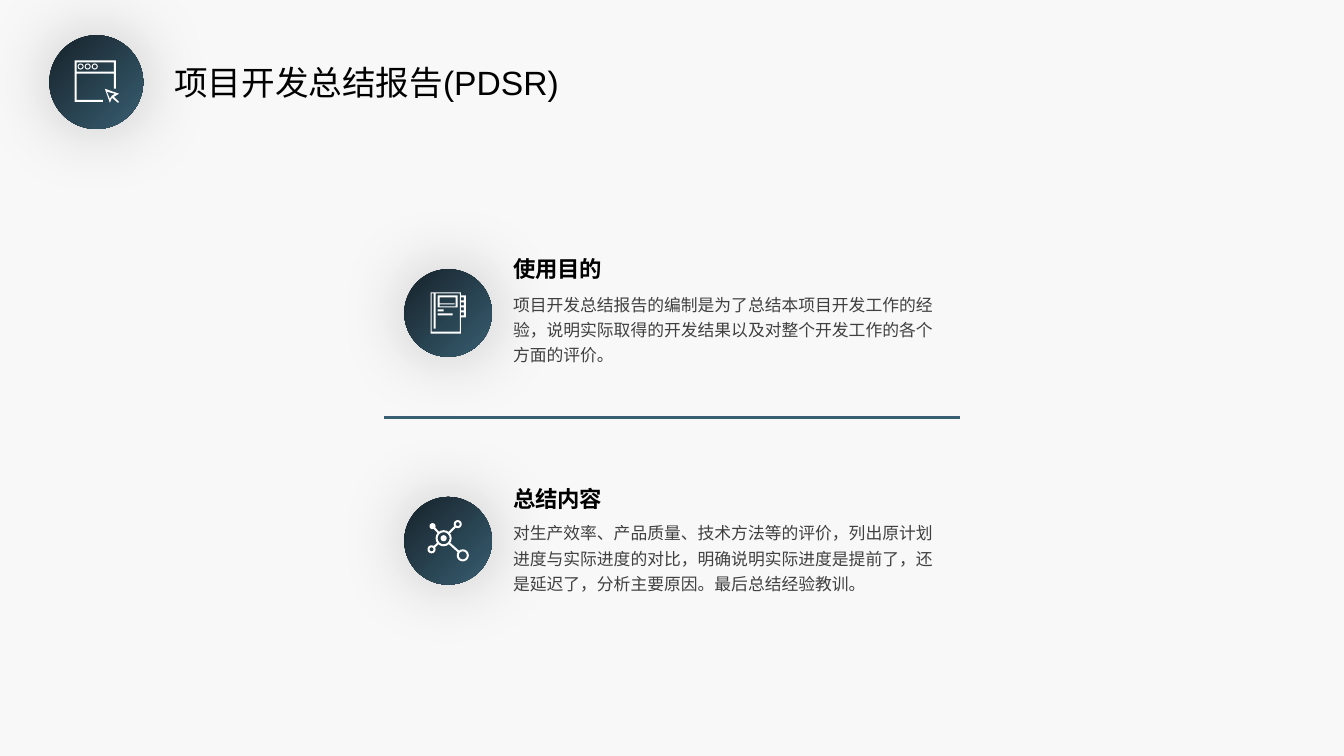
from math import cos, hypot, pi, sin

from lxml import etree
from pptx import Presentation
from pptx.dml.color import RGBColor
from pptx.enum.shapes import MSO_CONNECTOR, MSO_SHAPE
from pptx.enum.text import MSO_AUTO_SIZE
from pptx.oxml.ns import qn
from pptx.util import Inches, Pt

STRAIGHT = MSO_CONNECTOR.STRAIGHT
OVAL = MSO_SHAPE.OVAL
GROW = MSO_AUTO_SIZE.SHAPE_TO_FIT_TEXT
BACKGROUND = RGBColor(0xF8, 0xF8, 0xF8)
NAVY = RGBColor(0x17, 0x23, 0x2B)
STEEL = RGBColor(0x39, 0x5F, 0x72)
BLACK = RGBColor(0, 0, 0)
GRAY = RGBColor(0x40, 0x40, 0x40)
WHITE = RGBColor(255, 255, 255)
CJK_FONT = "Noto Sans CJK SC"


def rectangle(left, top, right, bottom):
    """Return the corners of a rectangle."""
    return [(left, top), (right, top), (right, bottom), (left, bottom)]


def disc(x, y, radius, corners=16):
    """Return the corners of a round polygon."""
    angles = [2 * pi * step / corners for step in range(corners)]
    return [(x + radius * cos(angle), y + radius * sin(angle))
            for angle in angles]


def spoke(hub, node, half_width=0.01):
    """Return the corners of a bar between the rims of two discs."""
    (x1, y1, radius1), (x2, y2, radius2) = hub, node
    length = hypot(x2 - x1, y2 - y1)
    across, down = (x2 - x1) / length, (y2 - y1) / length
    ends = ((radius1, 1), (length - radius2, 1),
            (length - radius2, -1), (radius1, -1))
    return [(x1 + along * across - side * half_width * down,
             y1 + along * down + side * half_width * across)
            for along, side in ends]


def browser_contours():
    """Return the outlines of a browser window with a cursor."""
    window = [(0.74, 0.6), (1.15, 0.6), (1.15, 0.88), (1.13, 0.88),
              (1.13, 0.73), (0.76, 0.73), (0.76, 0.99), (1.02, 0.99),
              (1.02, 1.01), (0.74, 1.01)]
    cursor = [(1.04, 0.88), (1.18, 0.93), (1.13, 0.96), (1.18, 1.01),
              (1.17, 1.02), (1.11, 0.97), (1.09, 1.02)]
    cursor_hole = [(1.06, 0.91), (1.09, 0.98), (1.11, 0.95), (1.14, 0.93)]
    buttons = [disc(x, 0.66, radius)
               for x in (0.8, 0.87, 0.94) for radius in (0.03, 0.02)]
    return [window, rectangle(0.76, 0.62, 1.13, 0.71),
            cursor, cursor_hole] + buttons


def notebook_contours():
    """Return the outlines of a notebook with index tabs."""
    cover = [(4.27, 2.9), (4.57, 2.9), (4.57, 2.93), (4.62, 2.93),
             (4.62, 3.15), (4.57, 3.15), (4.57, 3.31), (4.27, 3.31)]
    sheet = [(4.28, 2.91), (4.28, 3.29), (4.56, 3.29), (4.56, 2.91),
             (4.32, 2.91), (4.32, 3.26), (4.3, 3.26), (4.3, 2.91)]
    label_hole = [(4.36, 2.95), (4.36, 3.01), (4.51, 3.01), (4.51, 3.02),
                  (4.36, 3.02), (4.36, 3.04), (4.52, 3.04), (4.52, 2.95)]
    tabs = [rectangle(4.57, 2.95 + 0.05 * row, 4.6, 2.98 + 0.05 * row)
            for row in range(4)]
    return [cover, sheet, rectangle(4.34, 2.93, 4.54, 3.05), label_hole,
            rectangle(4.34, 3.07, 4.4, 3.09),
            rectangle(4.34, 3.11, 4.49, 3.13)] + tabs


def network_contours():
    """Return the outlines of a hub with four linked nodes."""
    hub = (4.4, 5.34, 0.08)
    rings = ((4.59, 5.51, 0.06), (4.28, 5.45, 0.04), (4.54, 5.2, 0.04))
    end_dot = (4.29, 5.22, 0.03)
    contours = [disc(4.4, 5.34, 0.06), disc(4.4, 5.34, 0.03)]
    contours += [disc(x, y, radius - 0.02) for x, y, radius in rings]
    contours += [disc(*node) for node in (hub, *rings, end_dot)]
    return contours + [spoke(hub, node) for node in (*rings, end_dot)]


class ReportPage:
    """Draws badges, icons, text and rules on one slide in a shared style."""

    def __init__(self, page):
        self.page_shapes = self.shapes = page.shapes
        page.background.fill.solid()
        page.background.fill.fore_color.rgb = BACKGROUND

    def start_group(self):
        self.shapes = self.page_shapes.add_group_shape().shapes

    def end_group(self):
        self.shapes = self.page_shapes

    def text(self, left, top, width, height, words, size, color,
             latin=CJK_FONT, bold=False, spacing=1.0):
        box = self.shapes.add_textbox(
            Inches(left), Inches(top), Inches(width), Inches(height))
        frame = box.text_frame
        frame.word_wrap = True
        frame.auto_size = GROW
        para = frame.paragraphs[0]
        para.line_spacing = spacing
        span = para.add_run()
        span.text = words
        span.font.size = Pt(size)
        span.font.bold = bold
        span.font.name = latin
        span.font.color.rgb = color
        east_asian = etree.SubElement(span.font._element, qn("a:ea"))
        east_asian.set("typeface", CJK_FONT)

    def soft_shadow(self, shape):
        shape.shadow.inherit = False
        effects = shape._element.spPr.find(qn("a:effectLst"))
        shadow = etree.SubElement(
            effects, qn("a:outerShdw"), blurRad=str(Pt(53)), dist="0",
            dir="0", algn="ctr", rotWithShape="0")
        color = etree.SubElement(shadow, qn("a:srgbClr"), val=str(BLACK))
        etree.SubElement(color, qn("a:alpha"), val="20000")

    def badge(self, left, top, size):
        shape = self.shapes.add_shape(
            OVAL, Inches(left), Inches(top), Inches(size), Inches(size))
        shape.line.fill.background()
        shape.fill.gradient()
        shape.fill.gradient_angle = 315
        for stop, color, position in zip(
                shape.fill.gradient_stops, (NAVY, STEEL), (0, 1)):
            stop.color.rgb = color
            stop.position = position
        self.soft_shadow(shape)

    def icon(self, contours):
        builder = self.shapes.build_freeform(scale=1.0)
        for contour in contours:
            corners = [(Inches(x), Inches(y)) for x, y in contour]
            builder.move_to(*corners[0])
            builder.add_line_segments(corners[1:], close=True)
        builder._start_x, builder._start_y = (
            Inches(length) for length in contours[0][0])
        shape = builder.convert_to_shape()
        shape.fill.solid()
        shape.fill.fore_color.rgb = WHITE
        shape.line.fill.background()
        self.soft_shadow(shape)

    def rule(self, x1, y1, x2, y2):
        line = self.shapes.add_connector(
            STRAIGHT, Inches(x1), Inches(y1), Inches(x2), Inches(y2))
        line.line.color.rgb = STEEL
        line.line.width = Pt(2.25)
        etree.SubElement(line._element.spPr, qn("a:effectLst"))

    def section(self, badge_top, contours, heading_top, heading,
                body_top, body):
        self.start_group()
        self.badge(4.01, badge_top, 0.87)
        self.icon(contours)
        self.text(4.99, body_top, 4.5, 0.86, body, 12, GRAY, spacing=1.25)
        self.text(4.99, heading_top, 2.24, 0.42, heading, 16, BLACK,
                  bold=True, spacing=1.2)
        self.end_group()


def main():
    deck = Presentation()
    deck.slide_width, deck.slide_height = Inches(13.33), Inches(7.5)
    report = ReportPage(deck.slides.add_slide(deck.slide_layouts[6]))
    report.start_group()
    report.badge(0.49, 0.35, 0.93)
    report.icon(browser_contours())
    report.end_group()
    report.text(1.63, 0.57, 5.1, 0.5, "项目开发总结报告(PDSR)", 24, BLACK,
                latin="Arial")
    report.section(
        2.67, notebook_contours(), 2.43, "使用目的", 2.82,
        "项目开发总结报告的编制是为了总结本项目开发工作的经验，"
        "说明实际取得的开发结果以及对整个开发工作的各个方面的评价。")
    report.section(
        4.93, network_contours(), 4.71, "总结内容", 5.09,
        "对生产效率、产品质量、技术方法等的评价，列出原计划进度与实际进度的对比，"
        "明确说明实际进度是提前了，还是延迟了，分析主要原因。最后总结经验教训。")
    report.rule(3.81, 4.14, 9.52, 4.14)
    deck.save("out.pptx")


if __name__ == "__main__":
    main()
